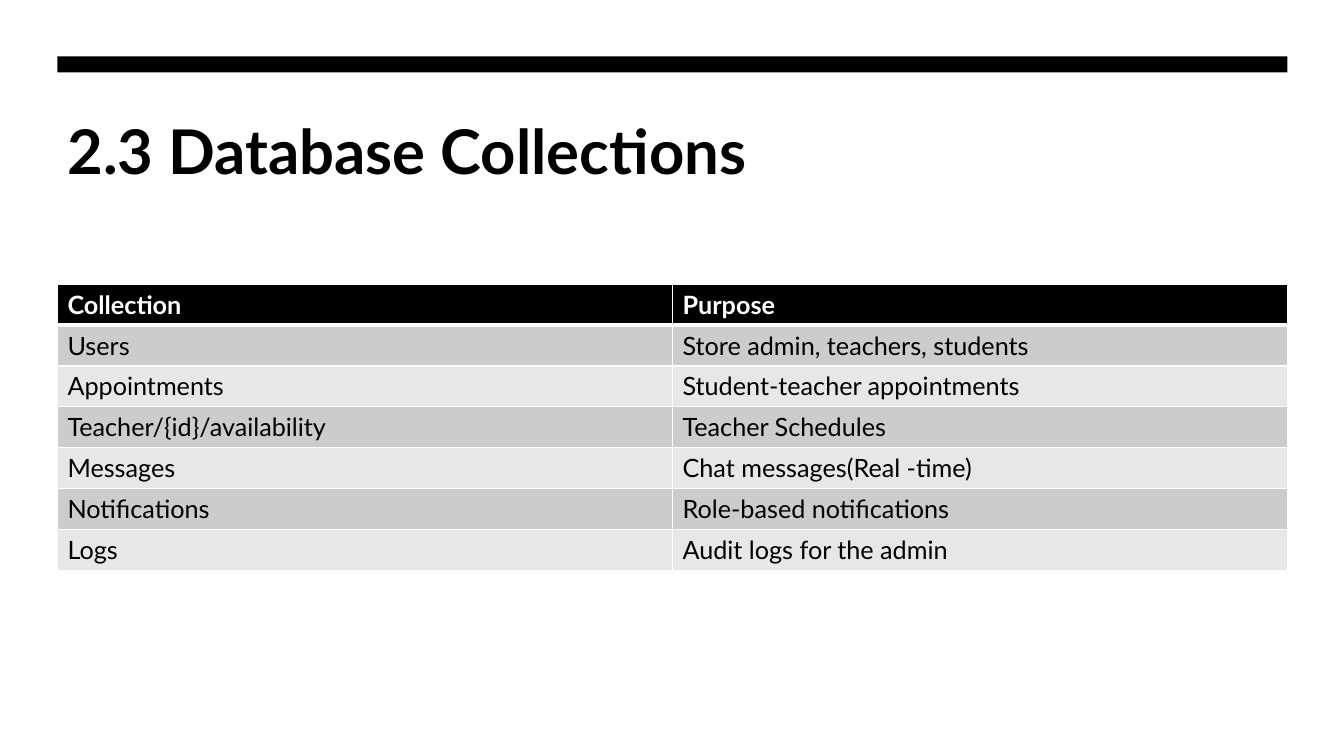
"""Build a slide with a table of database collections and their purposes."""
from lxml.etree import SubElement
from pptx import Presentation
from pptx.dml.color import RGBColor
from pptx.enum.shapes import MSO_SHAPE
from pptx.enum.text import MSO_ANCHOR, PP_ALIGN
from pptx.oxml.ns import qn
from pptx.util import Inches, Pt

FONT = "Lato"
LEFT, WIDTH = Inches(0.57), Inches(12.2)
ROWS = [
    ("Collection", "Purpose"),
    ("Users", "Store admin, teachers, students"),
    ("Appointments", "Student-teacher appointments"),
    ("Teacher/{id}/availability", "Teacher Schedules"),
    ("Messages", "Chat messages(Real -time)"),
    ("Notifications", "Role-based notifications"),
    ("Logs", "Audit logs for the admin"),
]


def paint(fill, color):
    fill.solid()
    fill.fore_color.rgb = RGBColor.from_string(color)


def add_run(p, text, size, color, bold):
    r = p.add_run()
    r.text = text
    r.font.name, r.font.size, r.font.bold = FONT, Pt(size), bold
    paint(r.font.fill, color)


prs = Presentation()
prs.slide_width, prs.slide_height = Inches(13.33), Inches(7.5)
s = prs.slides.add_slide(prs.slide_layouts[5])
paint(s.background.fill, "FFFFFF")

bar = s.shapes.add_shape(MSO_SHAPE.RECTANGLE, LEFT, Inches(0.56), WIDTH, Inches(0.16))
bar.shadow.inherit = False
paint(bar.fill, "000000")
bar.line.fill.background()

title = s.shapes.title
title.left, title.top, title.width, title.height = LEFT, Inches(1.07), WIDTH, Inches(1.6)
tf = title.text_frame
tf.word_wrap = True
tf.vertical_anchor = MSO_ANCHOR.TOP
p = tf.paragraphs[0]
p.alignment = PP_ALIGN.LEFT
add_run(p, "2.3 Database Collections", 44, "000000", True)

table = s.shapes.add_table(len(ROWS), 2, LEFT, Inches(2.82), WIDTH, Inches(2.84)).table
for i, texts in enumerate(ROWS):
    header = i == 0
    fill = "000000" if header else "CCCCCC" if i % 2 else "E7E7E7"
    for j, text in enumerate(texts):
        cell = table.cell(i, j)
        add_run(cell.text_frame.paragraphs[0], text, 18, "FFFFFF" if header else "000000", header)
        tcPr = cell._tc.get_or_add_tcPr()
        for side in ("L", "R", "T", "B"):
            thick = (header and side == "B") or (i == 1 and side == "T")
            ln = SubElement(tcPr, qn(f"a:ln{side}"), w=str(Pt(3 if thick else 1)))
            SubElement(SubElement(ln, qn("a:solidFill")), qn("a:srgbClr"), val="FFFFFF")
        paint(cell.fill, fill)

prs.save("out.pptx")
